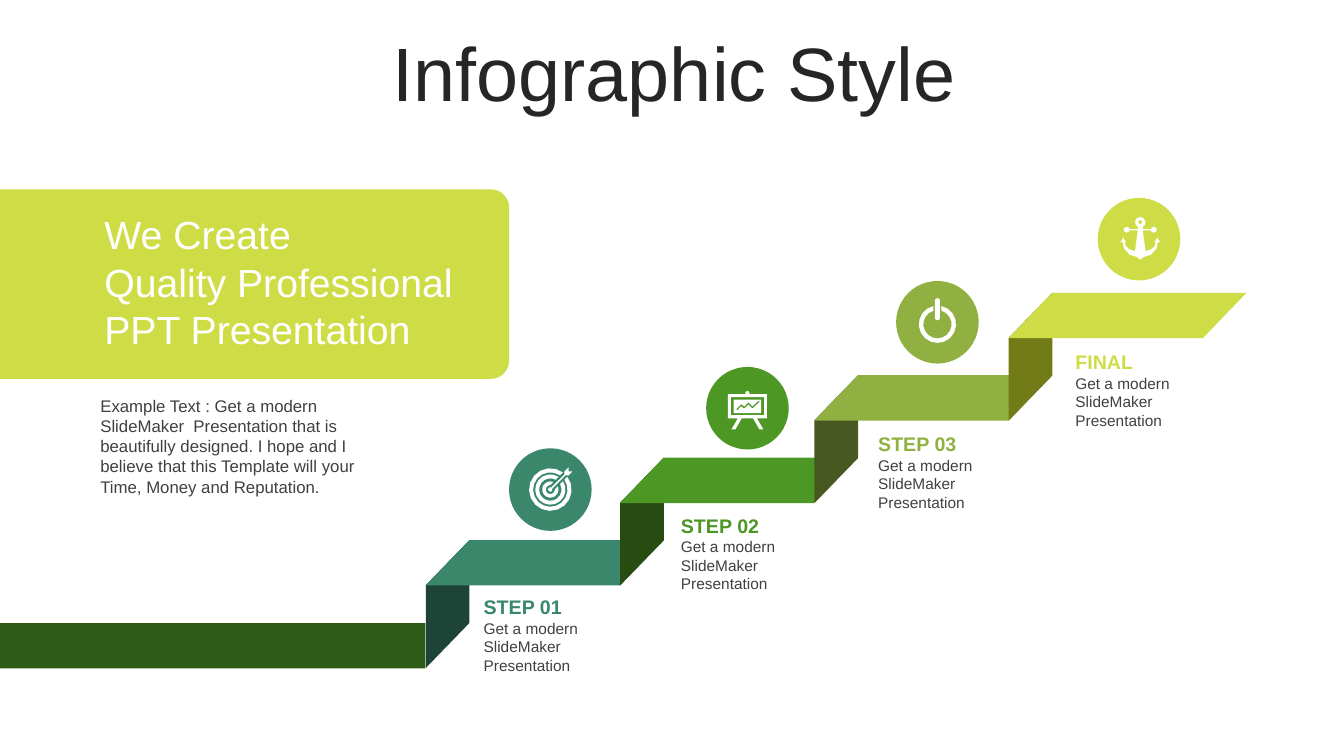
from math import asin, cos, pi, radians, sin

from pptx import Presentation
from pptx.dml.color import RGBColor
from pptx.enum.shapes import MSO_SHAPE
from pptx.enum.text import MSO_ANCHOR, MSO_AUTO_SIZE, PP_ALIGN
from pptx.util import Pt

COLORS = {
    "title": "262626", "body": "404040", "white": "FFFFFF",
    "lime": "CEDD46", "floor": "2E5B15",
    "teal": "3A876B", "teal_dark": "1D4436",
    "green": "4D9724", "green_dark": "274C12",
    "olive": "90B141", "olive_dark": "485820",
    "lime_dark": "717B17",
}
HEADING = ["We Create", "Quality Professional", "PPT Presentation"]
EXAMPLE = ("Example Text : Get a modern SlideMaker  Presentation that is "
           "beautifully designed. I hope and I believe that this Template "
           "will your Time, Money and Reputation.")
STEP_TEXT = "Get a modern SlideMaker  Presentation"
BADGE = 59
ARC_STEPS = 16


def open_ring(outer, inner, heading, half_gap, shift=0):
    """Return the points of a ring with a straight gap at one heading."""
    points = []
    for radius, steps in ((outer, range(ARC_STEPS + 1)),
                          (inner, range(ARC_STEPS, -1, -1))):
        gap = asin(half_gap / radius)
        for step in steps:
            angle = radians(heading) + gap + (2 * pi - 2 * gap) * step / ARC_STEPS
            points.append((radius * cos(angle), radius * sin(angle) + shift))
    return points


def rectangle(half_width, top, bottom):
    """Return the corners of a rectangle centred across the icon."""
    return [(-half_width, top), (half_width, top),
            (half_width, bottom), (-half_width, bottom)]


def mirrored(right_side, axis=0):
    """Return an outline made of a right side and its reflection."""
    left_side = [(-x, y) for x, y in reversed(right_side) if x]
    return [(axis + x, y) for x, y in right_side + left_side]


def target_icon():
    """Return the outlines of the target with its arrow."""
    rings = [open_ring(outer, inner, -45, 2.2)
             for outer, inner in ((15.2, 12.3), (10.8, 8), (5.8, 3.2))]
    arrow = [(13, -15.8), (13, -13), (15.8, -13), (13, -10.1), (10.8, -10.1),
             (1.4, -0.7), (1.2, 1), (0, 1.6), (-1.2, 1), (-1.6, 0),
             (-1.2, -1.2), (0, -1.6), (0.6, -1.5), (10.1, -10.8), (10.1, -13)]
    return rings + [arrow]


def board_icon():
    """Return the outlines of the chart board on its stand."""
    frame = mirrored([(0, -12.4), (1.4, -11.6), (1.4, -10.1), (14, -10.1),
                      (14, 7.2), (6.8, 7.2), (11.4, 15.1), (8.6, 15.1),
                      (4, 7.2)])
    trend = [(-8, 0.7), (-4.5, -2.9), (-2.2, -1.2), (0.7, -4.3), (3.6, -1.4),
             (8.2, -5.4), (8.8, -4.6), (3.6, 0.2), (0.7, -2.7), (-2.2, 0.3),
             (-4.5, -1.4), (-7.2, 1.5)]
    return [frame, rectangle(11.9, -7.9, 5), rectangle(9.8, -6.2, 3.6), trend]


def power_icon():
    """Return the outlines of the power symbol."""
    bar = mirrored([(0, -17.3), (1.3, -16.8), (1.8, -15.5), (1.8, -3.2),
                    (1.3, -1.9), (0, -1.4)])
    return [open_ring(13.3, 10.1, -90, 2.9, 1.4), bar]


def anchor_icon():
    """Return the outlines of the anchor."""
    body = mirrored(
        [(0, -15.8), (2.6, -14.8), (3.7, -12.2), (3.2, -10.2), (1.8, -8.8),
         (1.8, -7.1), (7.6, -7.1), (8.2, -8.2), (9.7, -8.8), (11.2, -8.2),
         (11.8, -6.7), (11.2, -5.2), (9.7, -4.6), (8.2, -5.2), (7.6, -6.2),
         (1.8, -6.2), (3.8, 8.6), (8, 7.2), (10.3, 4.9), (11.2, 2.2),
         (9.7, 2.2), (11.3, 0.8), (12, -1.4), (13, 0.8), (14.5, 2.2),
         (12.6, 2.2), (11.5, 6.8), (7.5, 11.2), (1.8, 13), (1.2, 14.1),
         (0, 14.5)], 0.9)
    eye = mirrored([(0, -13.6), (1, -13.2), (1.4, -12.2), (1, -11.2),
                    (0, -10.8)], 0.9)
    return [body, eye]


def paint(shape, color):
    """Give a shape a plain fill without line or shadow."""
    shape.shadow.inherit = False
    shape.fill.solid()
    shape.fill.fore_color.rgb = RGBColor.from_string(COLORS[color])
    shape.line.fill.background()


def add_block(page, kind, left, top, width, height, color):
    """Add a filled preset shape."""
    block = page.shapes.add_shape(kind, Pt(left), Pt(top), Pt(width), Pt(height))
    paint(block, color)
    return block


def add_icon(page, center_x, center_y, outlines):
    """Add a white icon as one freeform with several outlines."""
    placed = [[(Pt(center_x + x), Pt(center_y + y)) for x, y in outline]
              for outline in outlines]
    builder = page.shapes.build_freeform(*placed[0][0], scale=1.0)
    builder.add_line_segments(placed[0][1:], close=True)
    for outline in placed[1:]:
        builder.move_to(*outline[0])
        builder.add_line_segments(outline[1:], close=True)
    paint(builder.convert_to_shape(), "white")


def style(para, size, color, bold=False):
    """Format the runs of a paragraph."""
    for span in para.runs:
        span.font.name = "Arial"
        span.font.size = Pt(size)
        span.font.bold = bold
        span.font.color.rgb = RGBColor.from_string(COLORS[color])


def add_text(page, text, left, top, width, height, size, color,
             bold=False, spacing=None, inset=0):
    """Add a wrapped text box with one paragraph."""
    box = page.shapes.add_textbox(Pt(left), Pt(top), Pt(width), Pt(height))
    frame = box.text_frame
    frame.word_wrap = True
    frame.margin_left = frame.margin_right = Pt(inset)
    frame.margin_top = frame.margin_bottom = 0
    frame.text = text
    para = frame.paragraphs[0]
    if spacing:
        para.line_spacing = Pt(spacing)
    style(para, size, color, bold)


def add_title(page, text):
    """Place and format the title placeholder."""
    title = page.shapes.title
    title.left, title.top, title.width, title.height = (
        Pt(25.9), Pt(26.6), Pt(911.5), Pt(56.9))
    frame = title.text_frame
    frame.text = text
    frame.auto_size = MSO_AUTO_SIZE.NONE
    frame.vertical_anchor = MSO_ANCHOR.MIDDLE
    para = frame.paragraphs[0]
    para.alignment = PP_ALIGN.CENTER
    para.line_spacing = 0.9
    style(para, 54, "title")


def add_step(page, index, label, color, shade, badge, outlines):
    """Add one stair with its riser, badge, icon and label."""
    left, top = 304.1 + 138.8 * index, 385.8 - 58.9 * index
    riser = add_block(page, MSO_SHAPE.PARALLELOGRAM,
                      left - 30.1, top + 30.1, 91.4, 31.2, shade)
    riser.adjustments[0] = 1.032
    riser.rotation = 270
    riser._element.spPr.xfrm.set("flipH", "1")
    tread = add_block(page, MSO_SHAPE.PARALLELOGRAM, left, top, 169.9, 32.4, color)
    tread.adjustments[0] = 0.963
    add_block(page, MSO_SHAPE.OVAL, *badge, BADGE, BADGE, color)
    add_icon(page, badge[0] + BADGE / 2, badge[1] + BADGE / 2, outlines)
    text_left, text_top = 345.5 + 140.9 * index, 425.2 - 58.3 * index
    add_text(page, label, text_left, text_top, 96.5, 17, 14, color, bold=True)
    add_text(page, STEP_TEXT, text_left, text_top + 16.9, 96.5, 40, 11, "body")


def main():
    """Build the staircase slide."""
    deck = Presentation()
    deck.slide_width, deck.slide_height = Pt(960), Pt(540)
    page = deck.slides.add_slide(deck.slide_layouts[5])
    add_title(page, "Infographic Style")
    band = add_block(page, MSO_SHAPE.ROUND_2_SAME_RECTANGLE,
                     114.1, 21.1, 135.4, 363.6, "lime")
    band.adjustments[0] = 0.095
    band.rotation = 90
    add_block(page, MSO_SHAPE.RECTANGLE, 0, 445, 303.8, 32.4, "floor")
    for row, line in enumerate(HEADING):
        add_text(page, line, 71.7, 154.1 + 33.8 * row, 281, 30, 28, "white",
                 spacing=30, inset=2.9)
    add_text(page, EXAMPLE, 71.7, 282.6, 184.3, 72.7, 12, "body")
    steps = [
        ("STEP 01", "teal", "teal_dark", (363.6, 320.2), target_icon()),
        ("STEP 02", "green", "green_dark", (504.4, 262.1), board_icon()),
        ("STEP 03", "olive", "olive_dark", (640.1, 200.7), power_icon()),
        ("FINAL", "lime", "lime_dark", (784.1, 141.3), anchor_icon()),
    ]
    for index, step in enumerate(steps):
        add_step(page, index, *step)
    deck.save("out.pptx")


if __name__ == "__main__":
    main()
